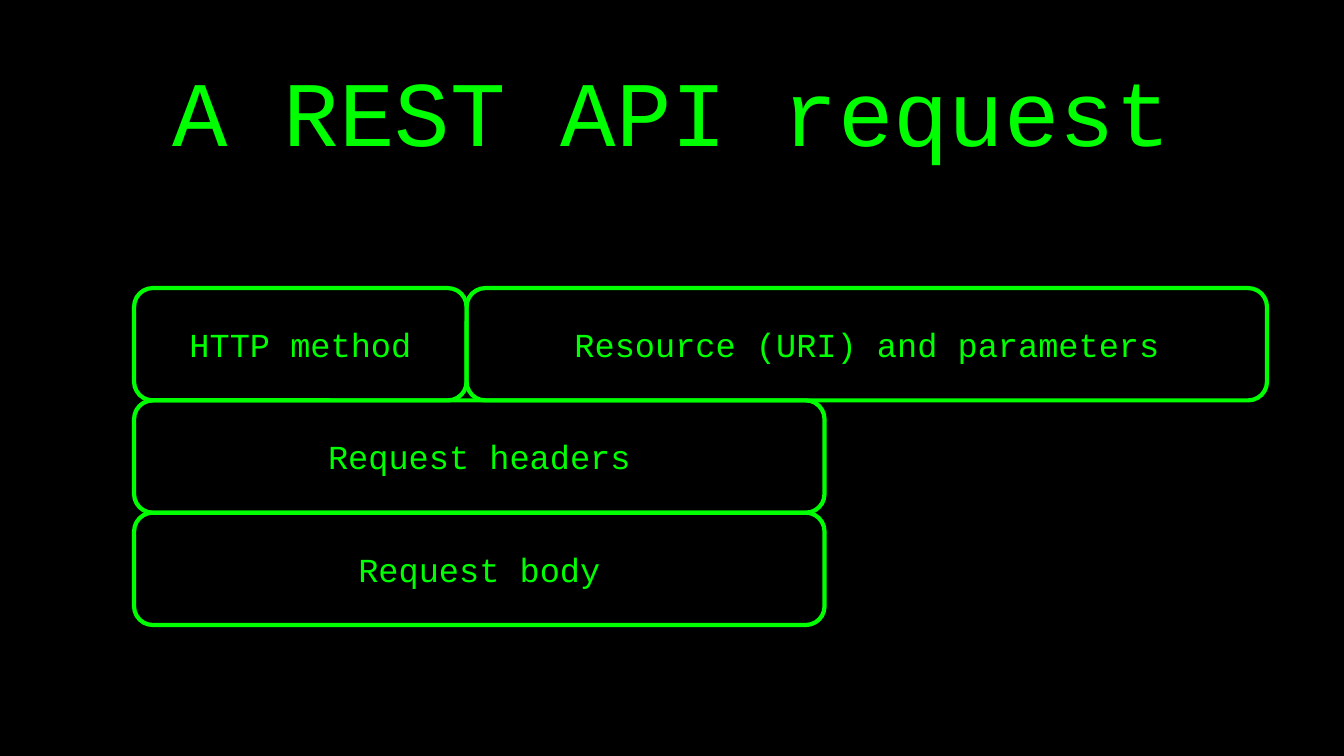
from pptx import Presentation
from pptx.dml.color import RGBColor
from pptx.enum.shapes import MSO_SHAPE as Shape
from pptx.enum.text import MSO_ANCHOR as Anchor, MSO_AUTO_SIZE as AutoSize, PP_ALIGN as Align
from pptx.util import Cm, Pt

TITLE = "A REST API request"
# Each row holds (label, width in cm) from left to right.
REQUEST_ROWS = [
    [("HTTP method", 8.38), ("Resource (URI) and parameters", 20.17)],
    [("Request headers", 17.4)],
    [("Request body", 17.4)],
]
COLORS = {"background": "000000", "green": "00FF00"}
FONT = "Courier New"
SLIDE_WIDTH, SLIDE_HEIGHT = 33.87, 19.05
TITLE_TOP, TITLE_HEIGHT = 1.24, 3.07
ROWS_LEFT, ROWS_TOP, ROW_HEIGHT = 3.38, 7.26, 2.83


def color(name):
    return RGBColor.from_string(COLORS[name])


def write_text(shape, text, size):
    frame = shape.text_frame
    frame.text = text
    frame.word_wrap = True
    paragraph = frame.paragraphs[0]
    paragraph.alignment = Align.CENTER
    font = paragraph.runs[0].font
    font.name = FONT
    font.size = Pt(size)
    font.color.rgb = color("green")


def add_title(slide):
    title = slide.shapes.add_textbox(
        Cm(0), Cm(TITLE_TOP), Cm(SLIDE_WIDTH), Cm(TITLE_HEIGHT))
    write_text(title, TITLE, 66)
    title.text_frame.auto_size = AutoSize.SHAPE_TO_FIT_TEXT


def add_request_part(slide, label, left, top, width):
    part = slide.shapes.add_shape(
        Shape.ROUNDED_RECTANGLE, Cm(left), Cm(top), Cm(width), Cm(ROW_HEIGHT))
    part.shadow.inherit = False
    part.fill.background()
    part.line.color.rgb = color("green")
    part.line.width = Pt(3)
    write_text(part, label, 24)
    part.text_frame.vertical_anchor = Anchor.MIDDLE


def main():
    presentation = Presentation()
    presentation.slide_width = Cm(SLIDE_WIDTH)
    presentation.slide_height = Cm(SLIDE_HEIGHT)
    slide = presentation.slides.add_slide(presentation.slide_layouts[6])
    slide.background.fill.solid()
    slide.background.fill.fore_color.rgb = color("background")

    add_title(slide)
    for row_index, row in enumerate(REQUEST_ROWS):
        left = ROWS_LEFT
        top = ROWS_TOP + row_index * ROW_HEIGHT
        for label, width in row:
            add_request_part(slide, label, left, top, width)
            left += width

    presentation.save("out.pptx")


if __name__ == "__main__":
    main()
